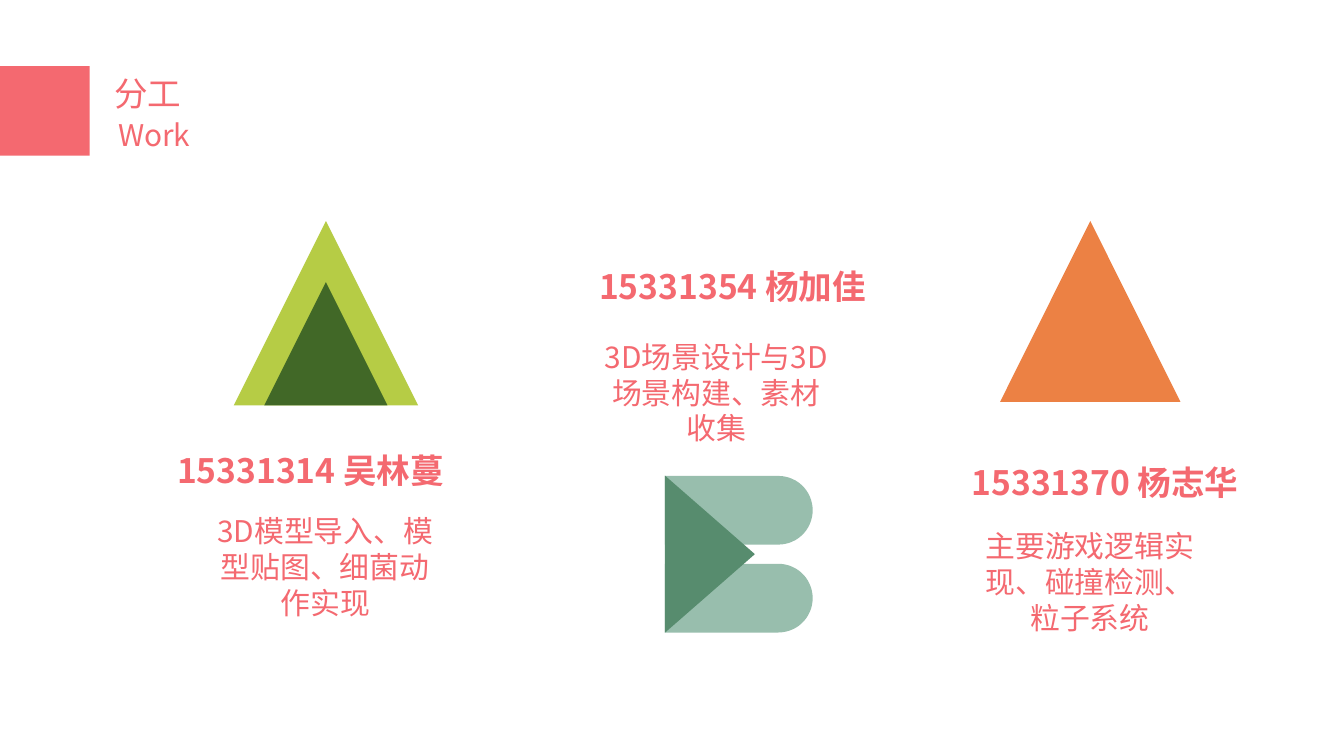
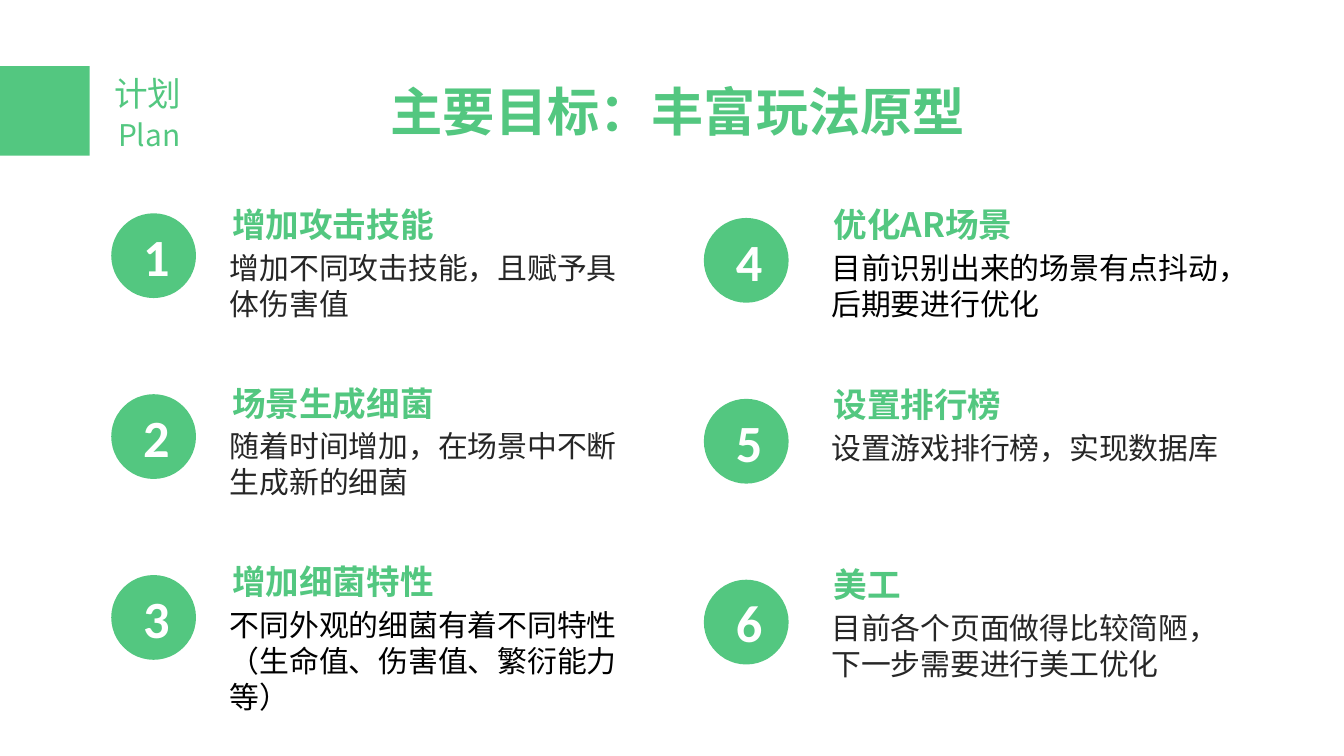
import math

from lxml import etree
from pptx import Presentation
from pptx.dml.color import RGBColor
from pptx.enum.shapes import MSO_SHAPE
from pptx.enum.text import MSO_ANCHOR, MSO_AUTO_SIZE, PP_ALIGN
from pptx.oxml.ns import qn
from pptx.util import Pt

RECTANGLE = MSO_SHAPE.RECTANGLE
TRIANGLE = MSO_SHAPE.ISOSCELES_TRIANGLE
OVAL = MSO_SHAPE.OVAL
TOP, MIDDLE = MSO_ANCHOR.TOP, MSO_ANCHOR.MIDDLE
LEFT, CENTER = PP_ALIGN.LEFT, PP_ALIGN.CENTER
GROW = MSO_AUTO_SIZE.SHAPE_TO_FIT_TEXT

COLORS = {
    "coral": "F46970", "green": "53C780", "lime": "B6CC45", "forest": "416827",
    "sage": "98BEAD", "pine": "578C6E", "orange": "EC8144",
    "white": "FFFFFF", "black": "000000", "charcoal": "262626",
}
BODY_FONT, NUMBER_FONT = "Noto Sans CJK SC", "Calibri"
TITLE_ONLY = 5
HEADING_HEIGHT = 29
CIRCLE_SIZE = 45.4
LOBE_WIDTH, LOBE_HEIGHT = 79.2, 36.8

MEMBERS = [
    ("15331314 吴林蔓", (87.8, 237.6), "3D模型导入、模型贴图、细菌动作实现", (104.4, 271.4)),
    ("15331354 杨加佳", (313.9, 139), "3D场景设计与3D场景构建、素材收集", (313.9, 177.8)),
    ("15331370 杨志华", (513.4, 244.1), "主要游戏逻辑实现、碰撞检测、粒子系统", (514.1, 279.4)),
]
GOAL_COLUMNS = [
    {"circle": (59.6, 114.3), "heading": (117.2, 105.8), "pitch": 95.7, "goals": [
        ("增加攻击技能", "增加不同攻击技能，且赋予具体伤害值", "charcoal"),
        ("场景生成细菌", "随着时间增加，在场景中不断生成新的细菌", "charcoal"),
        ("增加细菌特性", "不同外观的细菌有着不同特性（生命值、伤害值、繁衍能力等）", "black"),
    ]},
    {"circle": (377.1, 116.8), "heading": (439.4, 105.8), "pitch": 96.5, "goals": [
        ("优化AR场景", "目前识别出来的场景有点抖动，后期要进行优化", "black"),
        ("设置排行榜", "设置游戏排行榜，实现数据库", "charcoal"),
        ("美工", "目前各个页面做得比较简陋，下一步需要进行美工优化", "charcoal"),
    ]},
]
CIRCLE_PITCH = 96.9


def write_text(shape, text, size, color, bold=False, align=LEFT, font_name=BODY_FONT):
    """Put one formatted paragraph into a shape."""
    paragraph = shape.text_frame.paragraphs[0]
    paragraph.text = text
    paragraph.alignment = align
    font = paragraph.font
    font.size, font.bold, font.name = Pt(size), bold, font_name
    font.color.rgb = RGBColor.from_string(COLORS[color])
    east_asian = etree.SubElement(paragraph._p.pPr.find(qn("a:defRPr")), qn("a:ea"))
    east_asian.set("typeface", font_name)


def add_text(slide, frame, text, size, color, **style):
    """Add a wrapping text box that grows with its text."""
    box = slide.shapes.add_textbox(*map(Pt, frame))
    box.text_frame.word_wrap = True
    box.text_frame.auto_size = GROW
    write_text(box, text, size, color, **style)


def paint(shape, color):
    """Give a shape a flat fill with no line or shadow."""
    shape.shadow.inherit = False
    shape.fill.solid()
    shape.fill.fore_color.rgb = RGBColor.from_string(COLORS[color])
    shape.line.fill.background()


def add_flat_shape(slide, kind, frame, color, rotation=0):
    """Add a flat preset shape."""
    shape = slide.shapes.add_shape(kind, *map(Pt, frame))
    shape.rotation = rotation
    paint(shape, color)
    return shape


def add_lobe(slide, left, top, color):
    """Add a bar whose right end is a half circle."""
    radius = LOBE_HEIGHT / 2
    center_x, center_y = left + LOBE_WIDTH - radius, top + radius
    angles = [math.radians(degrees) for degrees in range(-90, 91, 6)]
    points = [(Pt(center_x + radius * math.cos(angle)), Pt(center_y + radius * math.sin(angle)))
              for angle in angles]
    builder = slide.shapes.build_freeform(Pt(left), Pt(top))
    builder.add_line_segments(points + [(Pt(left), Pt(top + LOBE_HEIGHT))], close=True)
    paint(builder.convert_to_shape(), color)


def add_titled_slide(presentation, title, subtitle, color):
    """Add a slide with the edge square, title and subtitle."""
    slide = presentation.slides.add_slide(presentation.slide_layouts[TITLE_ONLY])
    add_flat_shape(slide, RECTANGLE, (0, 35.4, 48, 48), color)
    heading = slide.shapes.title
    heading.left, heading.top, heading.width, heading.height = map(
        Pt, (54, 35.4, 124.6, HEADING_HEIGHT))
    heading.text_frame.word_wrap = True
    heading.text_frame.auto_size = GROW
    heading.text_frame.vertical_anchor = TOP
    write_text(heading, title, 18, color)
    add_text(slide, (56.2, 59.2, 124.6, 26.6), subtitle, 16, color)
    return slide


def add_member(slide, name, name_place, duty, duty_place):
    """Add a team member's name and duty."""
    add_text(slide, (*duty_place, 139.7, 64.8), duty, 16, "coral", align=CENTER)
    add_text(slide, (*name_place, 164.2, HEADING_HEIGHT), name, 18, "coral", bold=True)


def add_number(slide, left, top, number):
    """Add a numbered circle."""
    circle = add_flat_shape(slide, OVAL, (left, top, CIRCLE_SIZE, CIRCLE_SIZE), "green")
    frame = circle.text_frame
    frame.word_wrap = False
    frame.vertical_anchor = MIDDLE
    frame.margin_left = Pt(3)
    frame.margin_right = frame.margin_top = frame.margin_bottom = 0
    write_text(circle, str(number), 28, "white", bold=True, align=CENTER, font_name=NUMBER_FONT)


def add_goal(slide, left, top, heading, detail, detail_color):
    """Add a goal's heading and the detail below it."""
    add_text(slide, (left - 1.1, top + 24.3, 227.5, 46), detail, 16, detail_color)
    add_text(slide, (left, top, 164.2, HEADING_HEIGHT), heading, 18, "green", bold=True)


def build_work_slide(presentation):
    """Build the division of work."""
    slide = add_titled_slide(presentation, "分工", "Work", "coral")
    add_flat_shape(slide, TRIANGLE, (125.2, 118.4, 98.8, 98.8), "lime")
    add_flat_shape(slide, TRIANGLE, (141.6, 151.2, 66, 66), "forest")
    for top in (302.1, 255):
        add_lobe(slide, 356.2, top, "sage")
    add_flat_shape(slide, TRIANGLE, (338.2, 272.8, 84.2, 48.2), "pine", rotation=90)
    add_flat_shape(slide, TRIANGLE, (535.8, 118.4, 96.6, 96.9), "orange")
    for member in MEMBERS:
        add_member(slide, *member)


def build_plan_slide(presentation):
    """Build the plan with its numbered goals."""
    slide = add_titled_slide(presentation, "计划", "Plan", "green")
    number = 0
    for column in GOAL_COLUMNS:
        circle_left, circle_top = column["circle"]
        heading_left, heading_top = column["heading"]
        for row, goal in enumerate(column["goals"]):
            number += 1
            add_number(slide, circle_left, circle_top + row * CIRCLE_PITCH, number)
            add_goal(slide, heading_left, heading_top + row * column["pitch"], *goal)
    add_text(slide, (202.3, 38.9, 329, 41), "主要目标：丰富玩法原型", 28, "green", bold=True)


def main():
    """Build and save the presentation."""
    presentation = Presentation()
    presentation.slide_width, presentation.slide_height = Pt(720), Pt(405)
    build_work_slide(presentation)
    build_plan_slide(presentation)
    presentation.save("out.pptx")


if __name__ == "__main__":
    main()
